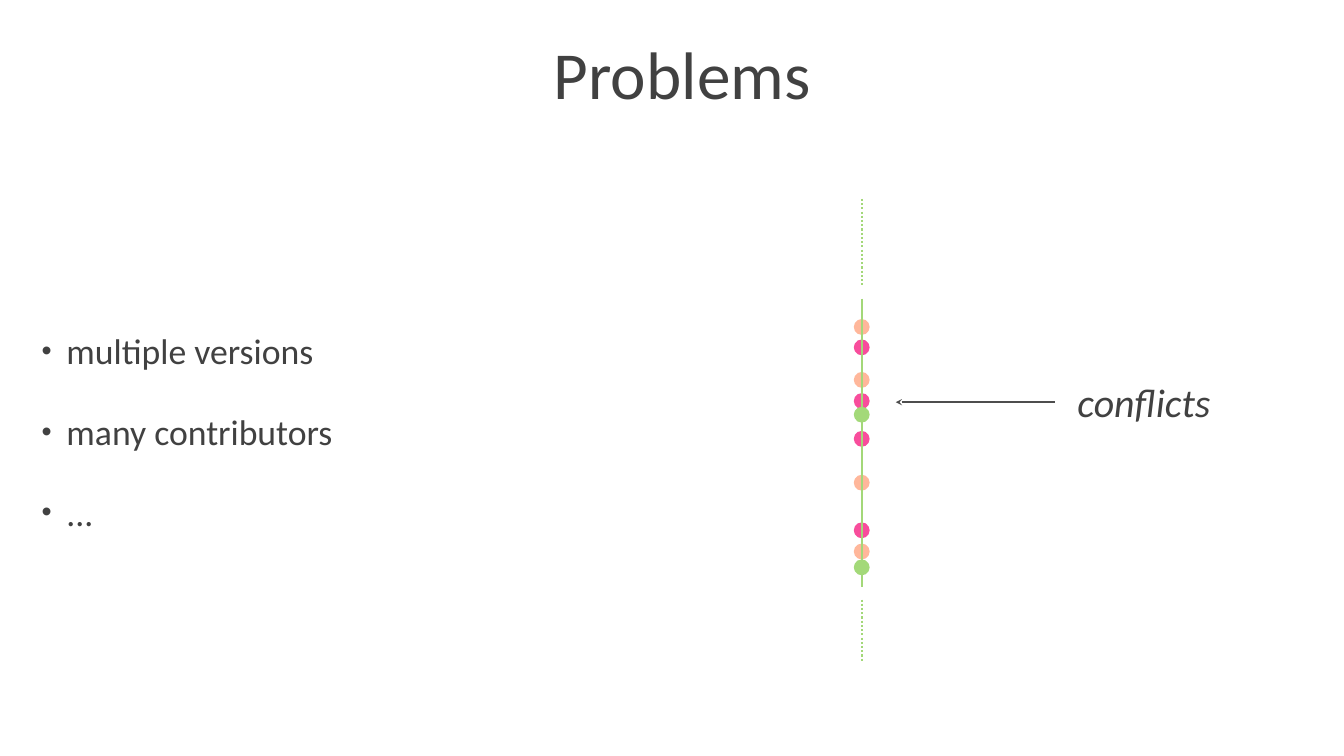
from lxml.etree import SubElement
from pptx import Presentation
from pptx.dml.color import RGBColor
from pptx.enum.dml import MSO_LINE
from pptx.enum.shapes import MSO_CONNECTOR, MSO_SHAPE
from pptx.enum.text import MSO_ANCHOR, PP_ALIGN
from pptx.oxml.ns import qn
from pptx.util import Inches, Pt

WIDE, HIGH = 17.78, 10
INK = RGBColor(0x41, 0x41, 0x41)
GREY = RGBColor(0x4D, 0x4D, 0x4D)
PEACH = RGBColor(0xFF, 0xB7, 0x9B)
PINK = RGBColor(0xF8, 0x4D, 0x9C)
GREEN = RGBColor(0xA3, 0xD9, 0x79)
STEM = RGBColor(0xA3, 0xD8, 0x79)

TITLE = "Problems"
POINTS = ["multiple versions", "many contributors", "..."]
LABEL = "conflicts"
BACK = [(PEACH, [4.22, 4.92, 6.28, 7.19]), (PINK, [4.49, 5.2, 5.7, 6.91])]
FRONT = [(GREEN, [5.38, 7.4])]
TRUNK = (3.95, 7.76)
TAILS = [(7.93, 8.75), (2.63, 3.77)]
AXIS, DOT = 11.4, 0.21
ARROW = (11.85, 13.96, 5.32)

deck = Presentation()
deck.slide_width, deck.slide_height = Inches(WIDE), Inches(HIGH)
slide = deck.slides.add_slide(deck.slide_layouts[6])
shapes = slide.shapes


def write(lines, box, size, pad=0, align=PP_ALIGN.CENTER, wrap=True):
    frame = shapes.add_textbox(*map(Inches, box)).text_frame
    frame.word_wrap = wrap
    frame.vertical_anchor = MSO_ANCHOR.MIDDLE
    frame.margin_left = frame.margin_right = Inches(pad)
    frame.margin_top = frame.margin_bottom = Inches(pad)
    frame.text = "\n".join(lines)
    for para in frame.paragraphs:
        para.alignment = align
        for run in para.runs:
            font = run.font
            font.name, font.size = "Calibri", Pt(size)
            font.color.rgb = INK
    return frame


def bullet(para):
    props = para._p.get_or_add_pPr()
    props.set("marL", str(Inches(0.33)))
    props.set("indent", str(-Inches(0.33)))
    tint = SubElement(props, qn("a:buClr"))
    SubElement(tint, qn("a:srgbClr"), val=str(INK))
    SubElement(props, qn("a:buSzPct"), val="81000")
    SubElement(props, qn("a:buFont"), typeface="Arial")
    SubElement(props, qn("a:buChar"), char="•")


def draw(x1, y1, x2, y2, color, dash=None):
    line = shapes.add_connector(MSO_CONNECTOR.STRAIGHT, *map(Inches, (x1, y1, x2, y2)))
    line.line.color.rgb = color
    line.line.width = Pt(2)
    if dash:
        line.line.dash_style = dash
    SubElement(line._element.spPr, qn("a:effectLst"))
    return line


def dots(groups):
    for color, tops in groups:
        for top in tops:
            dot = shapes.add_shape(
                MSO_SHAPE.OVAL, *map(Inches, (AXIS - DOT / 2, top, DOT, DOT)))
            dot.shadow.inherit = False
            dot.fill.solid()
            dot.fill.fore_color.rgb = color
            dot.line.fill.background()


write([TITLE], (1.15, 0.41, 15.75, 1.11), 64)
body = write(POINTS, (0.49, 2.71, 8.06, 5.99), 34, 0.06, PP_ALIGN.LEFT)
for para in body.paragraphs:
    bullet(para)
for para in body.paragraphs[1:]:
    para.space_before = Pt(36)

dots(BACK)
draw(AXIS, TRUNK[0], AXIS, TRUNK[1], STEM)
dots(FRONT)
for top, end in TAILS:
    draw(AXIS, top, AXIS, end, STEM, MSO_LINE.ROUND_DOT)

label = write([LABEL], (14.17, 5, 1.93, 0.63), 38, wrap=False)
label.paragraphs[0].runs[0].font.italic = True
left, right, level = ARROW
arrow = draw(left, level, right, level, GREY)
SubElement(arrow.line._get_or_add_ln(), qn("a:headEnd"), type="stealth")

deck.save("out.pptx")
